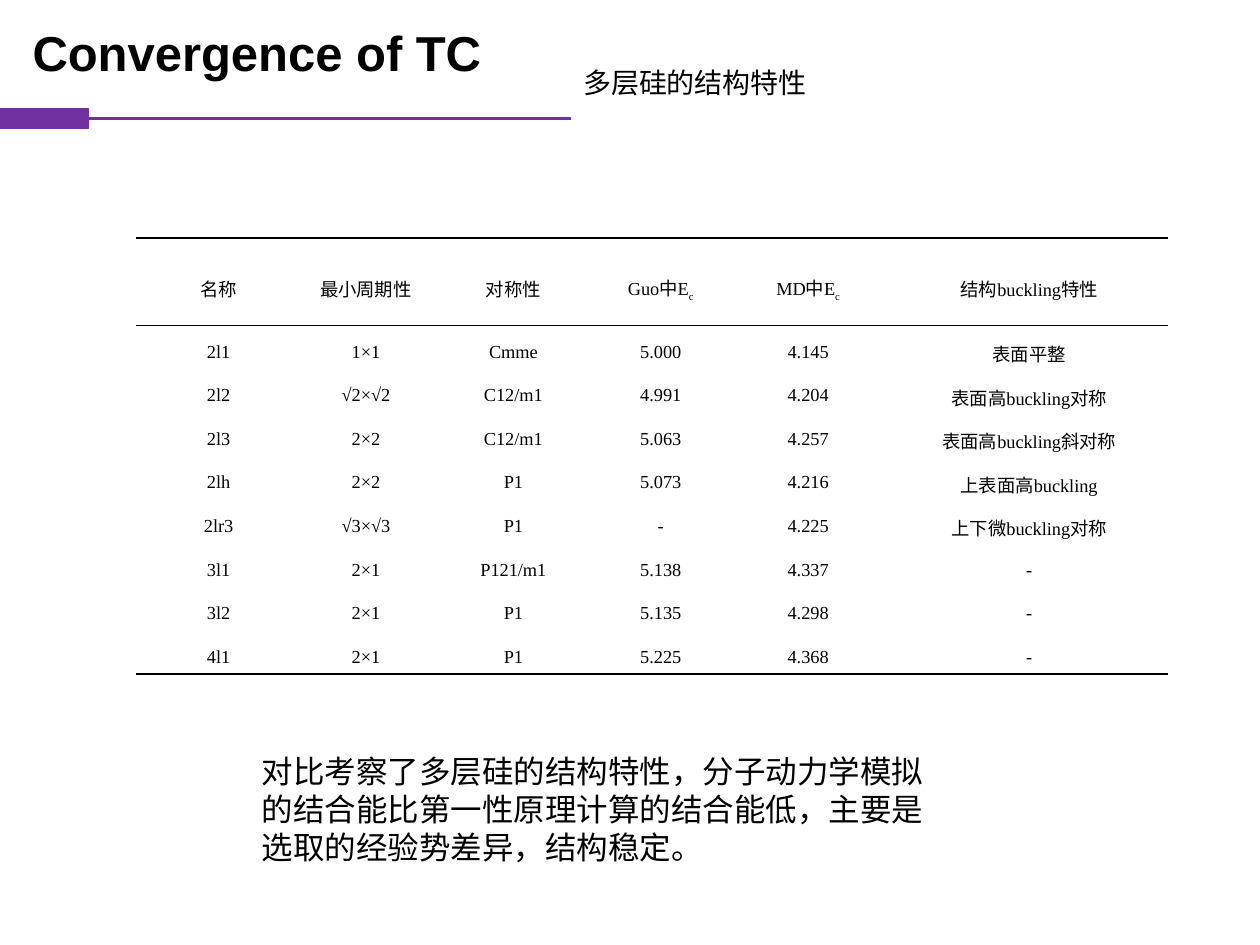
from lxml.etree import SubElement
from pptx import Presentation
from pptx.dml.color import RGBColor
from pptx.enum.shapes import MSO_CONNECTOR, MSO_SHAPE
from pptx.enum.text import MSO_ANCHOR, MSO_AUTO_SIZE, PP_ALIGN
from pptx.oxml.ns import qn
from pptx.util import Pt

COLORS = {"text": "000000", "accent": "7030A0", "rule": "000000"}
COLUMN_SHARES = [1, 1, 1, 1, 1, 2]
HEADER_HEIGHT = 49.8

# "_" separates a name from its subscript
ROWS = [
    ["名称", "最小周期性", "对称性", "Guo中E_c", "MD中E_c", "结构buckling特性"],
    ["2l1", "1×1", "Cmme", "5.000", "4.145", "表面平整"],
    ["2l2", "√2×√2", "C12/m1", "4.991", "4.204", "表面高buckling对称"],
    ["2l3", "2×2", "C12/m1", "5.063", "4.257", "表面高buckling斜对称"],
    ["2lh", "2×2", "P1", "5.073", "4.216", "上表面高buckling"],
    ["2lr3", "√3×√3", "P1", "-", "4.225", "上下微buckling对称"],
    ["3l1", "2×1", "P121/m1", "5.138", "4.337", "-"],
    ["3l2", "2×1", "P1", "5.135", "4.298", "-"],
    ["4l1", "2×1", "P1", "5.225", "4.368", "-"],
]
SUMMARY = ("对比考察了多层硅的结构特性，分子动力学模拟的结合能比第一性原理计算的"
           "结合能低，主要是选取的经验势差异，结构稳定。")


def color(name):
    return RGBColor.from_string(COLORS[name])


def add_span(para, text, size, font="Arial", bold=False, baseline=None):
    span = para.add_run()
    span.text = text
    span.font.size = Pt(size)
    span.font.name = font
    span.font.bold = bold
    span.font.color.rgb = color("text")
    if baseline is not None:
        span._r.get_or_add_rPr().set("baseline", str(baseline))


def add_text(page, text, left, top, width, height, wrap=True, **style):
    box = page.shapes.add_textbox(Pt(left), Pt(top), Pt(width), Pt(height))
    frame = box.text_frame
    frame.word_wrap = wrap
    frame.auto_size = MSO_AUTO_SIZE.SHAPE_TO_FIT_TEXT
    add_span(frame.paragraphs[0], text, **style)


def add_title_bar(page, left, top, width, height, block_width):
    """A solid block with a thin rule running to the right of it."""
    group = page.shapes.add_group_shape()
    middle = Pt(top + height / 2)
    rule = group.shapes.add_connector(MSO_CONNECTOR.STRAIGHT, Pt(left + width), middle,
                                      Pt(left + block_width), middle)
    rule.line.color.rgb = color("accent")
    rule.line.width = Pt(1.5)
    SubElement(rule._element.spPr, qn("a:effectLst"))

    block = group.shapes.add_shape(MSO_SHAPE.RECTANGLE, Pt(left), Pt(top),
                                   Pt(block_width), Pt(height))
    block.shadow.inherit = False
    block.fill.solid()
    block.fill.fore_color.rgb = color("accent")
    block.line.color.rgb = color("accent")
    block.line.width = Pt(0.75)
    rule.end_connect(block, 3)


def set_borders(cell, top, bottom):
    """Rule the top and bottom of a cell; a width of 0 means no line."""
    properties = cell._tc.get_or_add_tcPr()
    for side, width in {"L": 0, "R": 0, "T": top, "B": bottom}.items():
        line = SubElement(properties, qn(f"a:ln{side}"), w=str(Pt(width)))
        if width:
            fill = SubElement(line, qn("a:solidFill"))
            SubElement(fill, qn("a:srgbClr"), val=COLORS["rule"])
        else:
            SubElement(line, qn("a:noFill"))


def fill_cell(cell, text):
    cell.fill.background()
    cell.vertical_anchor = MSO_ANCHOR.MIDDLE
    cell.margin_left = cell.margin_right = Pt(5.4)
    cell.margin_top = cell.margin_bottom = 0
    para = cell.text_frame.paragraphs[0]
    para.alignment = PP_ALIGN.CENTER
    para.line_spacing = 1.5
    para._p.get_or_add_pPr().set("indent", str(Pt(10)))
    name, _, subscript = text.partition("_")
    add_span(para, name, 10.5, "Times New Roman")
    if subscript:
        add_span(para, subscript, 10.5, "Times New Roman", baseline=-25000)


def add_structure_table(page, left, top, width, height):
    table = page.shapes.add_table(len(ROWS), len(COLUMN_SHARES), Pt(left), Pt(top),
                                  Pt(width), Pt(height)).table
    table.first_row = table.horz_banding = False
    for column, share in zip(table.columns, COLUMN_SHARES):
        column.width = Pt(width * share / sum(COLUMN_SHARES))
    body_height = (height - HEADER_HEIGHT) / (len(ROWS) - 1)
    # Rules above the header, below the header and below the last row
    rules = {0: 1.5, 1: 1, len(ROWS): 1.5}
    for i, texts in enumerate(ROWS):
        table.rows[i].height = Pt(body_height if i else HEADER_HEIGHT)
        for j, text in enumerate(texts):
            cell = table.cell(i, j)
            set_borders(cell, rules.get(i, 0), rules.get(i + 1, 0))
            fill_cell(cell, text)


def main():
    deck = Presentation()
    deck.slide_width, deck.slide_height = Pt(720), Pt(540)
    page = deck.slides.add_slide(deck.slide_layouts[6])

    # Heading
    add_text(page, "Convergence of TC", 11.5, 9.4, 274.3, 41, wrap=False, size=28, bold=True)
    add_title_bar(page, 0, 61.9, 326.2, 11.5, block_width=50.4)
    add_text(page, "多层硅的结构特性", 326.2, 33.8, 340.6, 26.6, size=16)

    # Results and summary
    add_structure_table(page, 77.8, 136.1, 589.7, 249)
    add_text(page, SUMMARY, 142.6, 426.2, 392.4, 72.7, size=18)

    deck.save("out.pptx")


if __name__ == "__main__":
    main()
